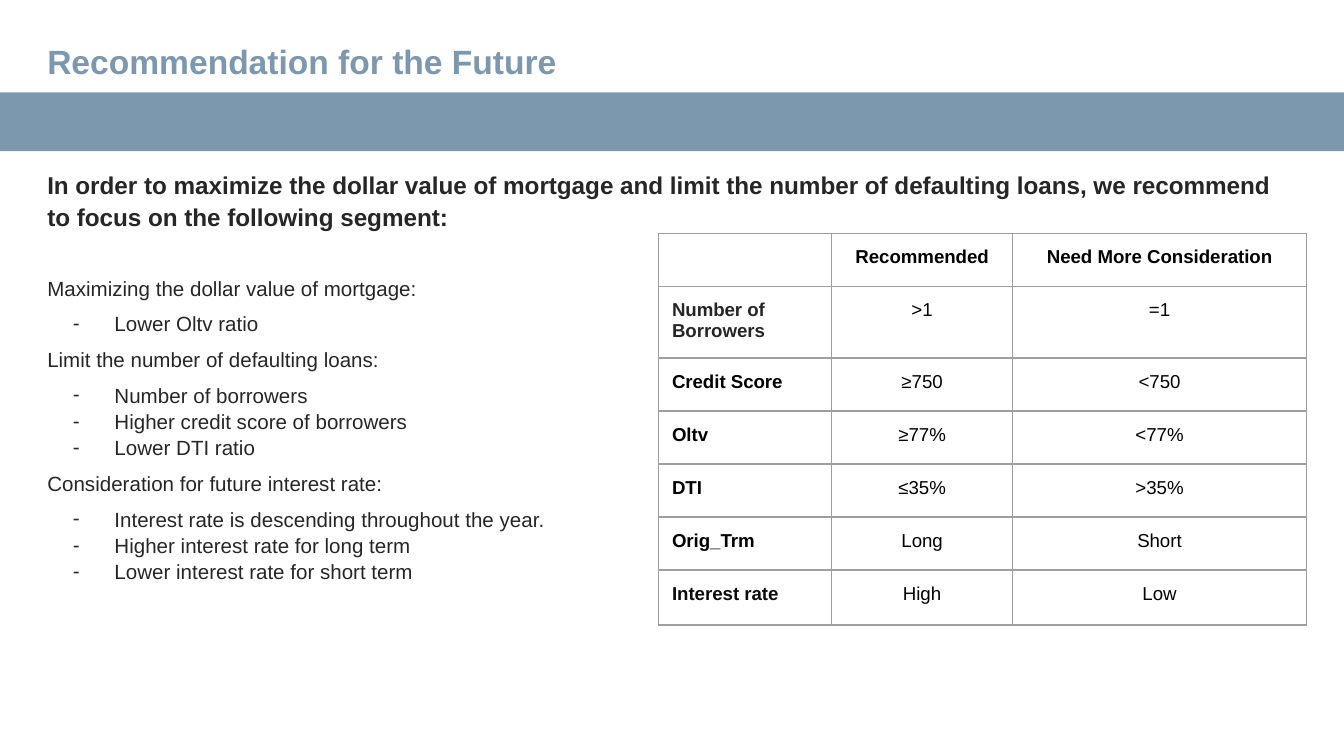
from lxml import etree
from pptx import Presentation
from pptx.dml.color import RGBColor
from pptx.enum import shapes, text
from pptx.oxml import ns
from pptx.util import Pt

BLUE = RGBColor(0x7C, 0x98, 0xAE)
DARK = RGBColor(0x26, 0x26, 0x26)
NEAR_BLACK = RGBColor(0x0C, 0x0C, 0x0C)
BLACK = RGBColor(0, 0, 0)
GRID = RGBColor(0x9E, 0x9E, 0x9E)

LEAD = ("In order to maximize the dollar value of mortgage and limit the number of "
        "defaulting loans, we recommend to focus on the following segment:")
GOALS = [
    ("Maximizing the dollar value of mortgage:", ["Lower Oltv ratio"]),
    ("Limit the number of defaulting loans:",
     ["Number of borrowers", "Higher credit score of borrowers", "Lower DTI ratio"]),
    ("Consideration for future interest rate:",
     ["Interest rate is descending throughout the year.",
      "Higher interest rate for long term", "Lower interest rate for short term"]),
]
CRITERIA = [
    ("", "Recommended", "Need More Consideration"),
    ("Number of Borrowers", ">1", "=1"),
    ("Credit Score", "≥750", "<750"),
    ("Oltv", "≥77%", "<77%"),
    ("DTI", "≤35%", ">35%"),
    ("Orig_Trm", "Long", "Short"),
    ("Interest rate", "High", "Low"),
]
LABEL_COLOURS = {"Number of Borrowers": DARK, "Interest rate": NEAR_BLACK}
COLUMN_WIDTHS = (92.7, 97, 157.4)
ROW_HEIGHTS = (28.4, 36.4, 28.4, 28.4, 28.4, 28.4, 29.5)


def style(paragraph, size, colour, bold=False):
    font = paragraph.font
    font.name, font.size, font.bold = "Arial", Pt(size), bold
    font.color.rgb = colour


def add_text_frame(slide, left, top, width, height):
    frame = slide.shapes.add_textbox(Pt(left), Pt(top), Pt(width), Pt(height)).text_frame
    frame.word_wrap = True
    frame.margin_left = frame.margin_right = Pt(5.1)
    frame.margin_top = frame.margin_bottom = Pt(2.6)
    return frame


def add_dash(paragraph):
    properties = paragraph._p.get_or_add_pPr()
    properties.set("marL", str(Pt(36)))
    properties.set("indent", str(Pt(-22.3)))
    colour = etree.SubElement(properties, ns.qn("a:buClr"))
    etree.SubElement(colour, ns.qn("a:srgbClr"), val=str(DARK))
    etree.SubElement(properties, ns.qn("a:buFont"), typeface="Arial")
    etree.SubElement(properties, ns.qn("a:buChar"), char="-")


def add_borders(cell):
    properties = cell._tc.get_or_add_tcPr()
    for position, side in enumerate(("a:lnL", "a:lnR", "a:lnT", "a:lnB")):
        line = etree.Element(ns.qn(side), w=str(Pt(0.75)))
        fill = etree.SubElement(line, ns.qn("a:solidFill"))
        etree.SubElement(fill, ns.qn("a:srgbClr"), val=str(GRID))
        properties.insert(position, line)


def add_header(slide, left, top, width, height):
    band_height = 31.5
    band_top = top + height - band_height
    band = slide.shapes.add_shape(shapes.MSO_SHAPE.RECTANGLE, Pt(left), Pt(band_top),
                                  Pt(width), Pt(band_height))
    band.shadow.inherit = False
    band.fill.solid()
    band.fill.fore_color.rgb = BLUE
    band.line.fill.background()

    title = add_text_frame(slide, left + 20.2, band_top - 33, 567.4, 33)
    title.vertical_anchor = text.MSO_ANCHOR.MIDDLE
    title.text = "Recommendation for the Future"
    style(title.paragraphs[0], 18, BLUE, True)


def add_goals(slide, left, top, width, height):
    frame = add_text_frame(slide, left, top, width, height)
    lead = frame.paragraphs[0]
    lead.text = LEAD
    lead.line_spacing = 1.07
    style(lead, 13, DARK, True)

    def add_line(words, before):
        line = frame.add_paragraph()
        line.text = words
        line.line_spacing = 1.07
        line.space_before = Pt(before)
        style(line, 11, DARK)
        return line

    for group, (goal, points) in enumerate(GOALS):
        add_line(goal, 5 if group else 23)
        for order, point in enumerate(points):
            add_dash(add_line(point, 0 if order else 5))


def add_criteria(slide, left, top, width, height):
    criteria = slide.shapes.add_table(len(CRITERIA), len(COLUMN_WIDTHS), Pt(left), Pt(top),
                                      Pt(width), Pt(height)).table
    criteria.horz_banding = False
    for column, column_width in zip(criteria.columns, COLUMN_WIDTHS):
        column.width = Pt(column_width)
    for row, row_height in zip(criteria.rows, ROW_HEIGHTS):
        row.height = Pt(row_height)
    for r, entries in enumerate(CRITERIA):
        for c, entry in enumerate(entries):
            cell = criteria.cell(r, c)
            cell.margin_left = cell.margin_right = Pt(7.2)
            cell.margin_top = cell.margin_bottom = Pt(7.2)
            cell.fill.background()
            add_borders(cell)
            cell.text = entry
            paragraph = cell.text_frame.paragraphs[0]
            style(paragraph, 10, LABEL_COLOURS.get(entry, BLACK), r == 0 or c == 0)
            if c:
                paragraph.alignment = text.PP_ALIGN.CENTER


def main():
    deck = Presentation()
    deck.slide_width, deck.slide_height = Pt(720), Pt(405)
    slide = deck.slides.add_slide(deck.slide_layouts[6])
    add_header(slide, 0, 0, 720, 81)
    add_goals(slide, 20.2, 87.8, 680.4, 280.8)
    add_criteria(slide, 352.8, 125, sum(COLUMN_WIDTHS), sum(ROW_HEIGHTS))
    deck.save("out.pptx")


if __name__ == "__main__":
    main()
